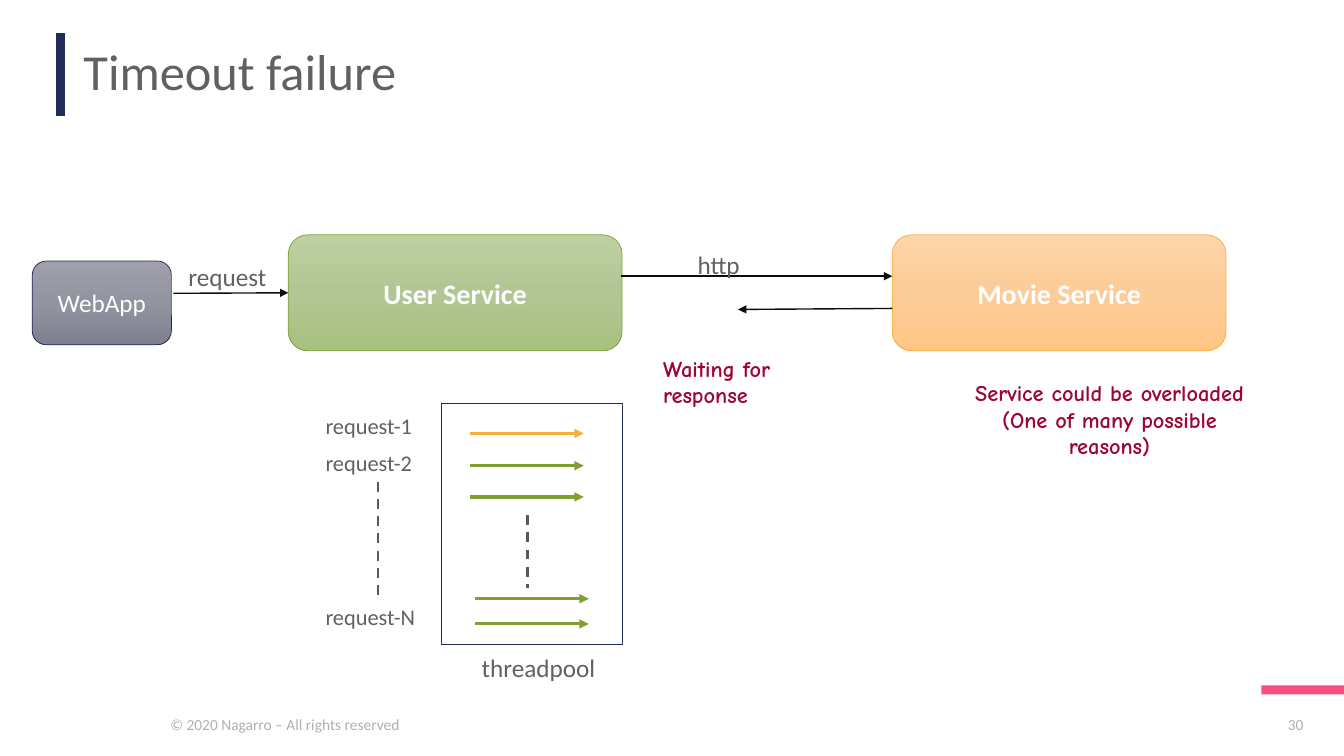
from copy import deepcopy
from pptx import Presentation
from pptx.dml.color import RGBColor
from pptx.enum.dml import MSO_LINE
from pptx.enum.shapes import MSO_CONNECTOR, MSO_SHAPE
from pptx.enum.text import MSO_ANCHOR, PP_ALIGN
from pptx.oxml.ns import qn
from pptx.oxml.xmlchemy import OxmlElement
from pptx.util import Inches, Pt

WHITE = RGBColor(0xFF, 0xFF, 0xFF)
GREY = RGBColor(0x61, 0x61, 0x61)
PALE = RGBColor(0xB0, 0xB0, 0xB0)
DARK = RGBColor(0x59, 0x59, 0x59)
BLACK = RGBColor(0x0D, 0x0D, 0x0D)
NAVY = RGBColor(0x21, 0x2C, 0x56)
PINK = RGBColor(0xF8, 0x4E, 0x81)
WINE = RGBColor(0x9D, 0x06, 0x33)
GREEN = RGBColor(0x80, 0xA0, 0x31)
AMBER = RGBColor(0xF8, 0xAE, 0x3C)
GREENS = [RGBColor.from_string(c) for c in ("BDD0A1", "B2C694", "A8C080")]
AMBERS = [RGBColor.from_string(c) for c in ("FED5A8", "FCCC99", "FFC686")]
SLATES = [RGBColor.from_string(c) for c in ("9FA0AB", "92949F", "7E8090")]

LEFT, MID = PP_ALIGN.LEFT, PP_ALIGN.CENTER
BODY = {"name": "Calibri", "size": Pt(18), "color": GREY}
ITEM = {**BODY, "size": Pt(16)}
HEAD = {**BODY, "size": Pt(36)}
FOOT = {**BODY, "size": Pt(11), "color": PALE}
NOTE = {"name": "Comic Neue", "size": Pt(16), "color": WINE, "bold": True}
APP = {**BODY, "color": WHITE}
SERVICE = {**APP, "size": Pt(20), "bold": True}

# text, (left, top, width, height), shades, edge, font
NODES = [
    ("User Service", (2.86, 2.33, 3.31, 1.15), GREENS, GREEN, SERVICE),
    ("Movie Service", (8.85, 2.33, 3.31, 1.15), AMBERS, AMBER, SERVICE),
    ("WebApp", (0.32, 2.59, 1.38, 0.83), SLATES, NAVY, APP),
]
POOL = (4.38, 4, 1.79, 2.39)
STRIPE = (12.51, 6.8, 0.83, 0.09)

# lines, (left, top, width, height), font, align, wrap
LABELS = [
    (["Timeout failure"], (0.73, 0.42, 11.36, 0.65), HEAD, LEFT, True),
    (["http"], (6.82, 2.42, 0.63, 0.4), BODY, LEFT, False),
    (["request"], (1.77, 2.54, 0.98, 0.4), BODY, LEFT, False),
    (["threadpool"], (4.68, 6.42, 1.34, 0.4), BODY, LEFT, False),
    (["Waiting for response"], (6.48, 3.47, 2.17, 0.64), NOTE, LEFT, True),
    (["Service could be overloaded", "(One of many possible reasons)"],
     (9.42, 3.71, 3.17, 0.9), NOTE, MID, True),
    (["© 2020 Nagarro – All rights reserved"],
     (1.59, 7.04, 2.48, 0.29), FOOT, LEFT, False),
    (["30"], (12.52, 7.04, 0.66, 0.29), FOOT, MID, True),
]
QUEUE = [("request-1", 4.04), ("request-2", 4.41), ("request-N", 5.93)]
LABELS += [([name], (3.13, top, 1.25, 0.37), ITEM, LEFT, True)
           for name, top in QUEUE]

# start, end, colour, width
CALLS = [
    ((6.16, 2.74), (8.85, 2.74), BLACK, 1),
    ((8.85, 3.06), (7.32, 3.07), BLACK, 1),
]
THREADS = [(4.66, 4.3, AMBER), (4.66, 4.62, GREEN), (4.66, 4.93, GREEN),
           (4.71, 5.94, GREEN), (4.71, 6.19, GREEN)]
CALLS += [((x, y), (x + 1.13, y), color, 2.25) for x, y, color in THREADS]
DASHES = [((5.23, 5.11), (5.23, 5.83)), ((3.75, 4.78), (3.75, 5.93))]


def write(frame, lines, font, align):
    for i, line in enumerate(lines):
        para = frame.paragraphs[0] if i == 0 else frame.add_paragraph()
        para.alignment = align
        run = para.add_run()
        run.text = line
        for key, value in font.items():
            if key == "color":
                run.font.color.rgb = value
            else:
                setattr(run.font, key, value)


def label(slide, lines, box, font, align, wrap):
    frame = slide.shapes.add_textbox(*map(Inches, box)).text_frame
    frame.word_wrap = wrap
    write(frame, lines, font, align)
    return frame


def block(slide, kind, box):
    shape = slide.shapes.add_shape(kind, *map(Inches, box))
    shape.shadow.inherit = False
    return shape


def shade(shape, colors):
    """Fill from top to bottom through three evenly spaced colours."""
    shape.fill.gradient()
    shape.fill.gradient_angle = 270
    first = shape._element.spPr.find(".//" + qn("a:gs"))
    first.addnext(deepcopy(first))
    for i, stop in enumerate(shape.fill.gradient_stops):
        stop.position = i / 2
        stop.color.rgb = colors[i]


def node(slide, text, box, colors, edge, font):
    shape = block(slide, MSO_SHAPE.ROUNDED_RECTANGLE, box)
    shade(shape, colors)
    shape.line.color.rgb = edge
    shape.line.width = Pt(0.5)
    shape.text_frame.vertical_anchor = MSO_ANCHOR.MIDDLE
    write(shape.text_frame, [text], font, MID)
    return shape


def link(slide, start, end, color, width, arrow=True):
    line = slide.shapes.add_connector(
        MSO_CONNECTOR.STRAIGHT, *map(Inches, start + end))
    line.line.color.rgb = color
    line.line.width = Pt(width)
    if arrow:
        tail = OxmlElement("a:tailEnd")
        tail.set("type", "triangle")
        line.line._get_or_add_ln().append(tail)
    line._element.spPr.append(OxmlElement("a:effectLst"))
    return line


def main():
    deck = Presentation()
    deck.slide_width, deck.slide_height = Inches(13.33), Inches(7.5)
    slide = deck.slides.add_slide(deck.slide_layouts[6])

    stripe = block(slide, MSO_SHAPE.RECTANGLE, STRIPE)
    stripe.fill.solid()
    stripe.fill.fore_color.rgb = PINK
    stripe.line.fill.background()
    link(slide, (0.6, 0.33), (0.6, 1.15), NAVY, 6, arrow=False)

    user, movie, app = [node(slide, *row) for row in NODES]
    pool = block(slide, MSO_SHAPE.RECTANGLE, POOL)
    pool.fill.background()
    pool.line.color.rgb = NAVY
    pool.line.width = Pt(0.75)

    entry = link(slide, (1.72, 2.91), (2.86, 2.91), BLACK, 1)
    entry.end_connect(user, 1)
    for row in CALLS:
        link(slide, *row)
    for start, end in DASHES:
        dash = link(slide, start, end, DARK, 1.75, arrow=False)
        dash.line.dash_style = MSO_LINE.DASH

    title, *rest = [label(slide, *row) for row in LABELS]
    title.paragraphs[0].line_spacing = 0.9
    deck.save("out.pptx")


if __name__ == "__main__":
    main()
